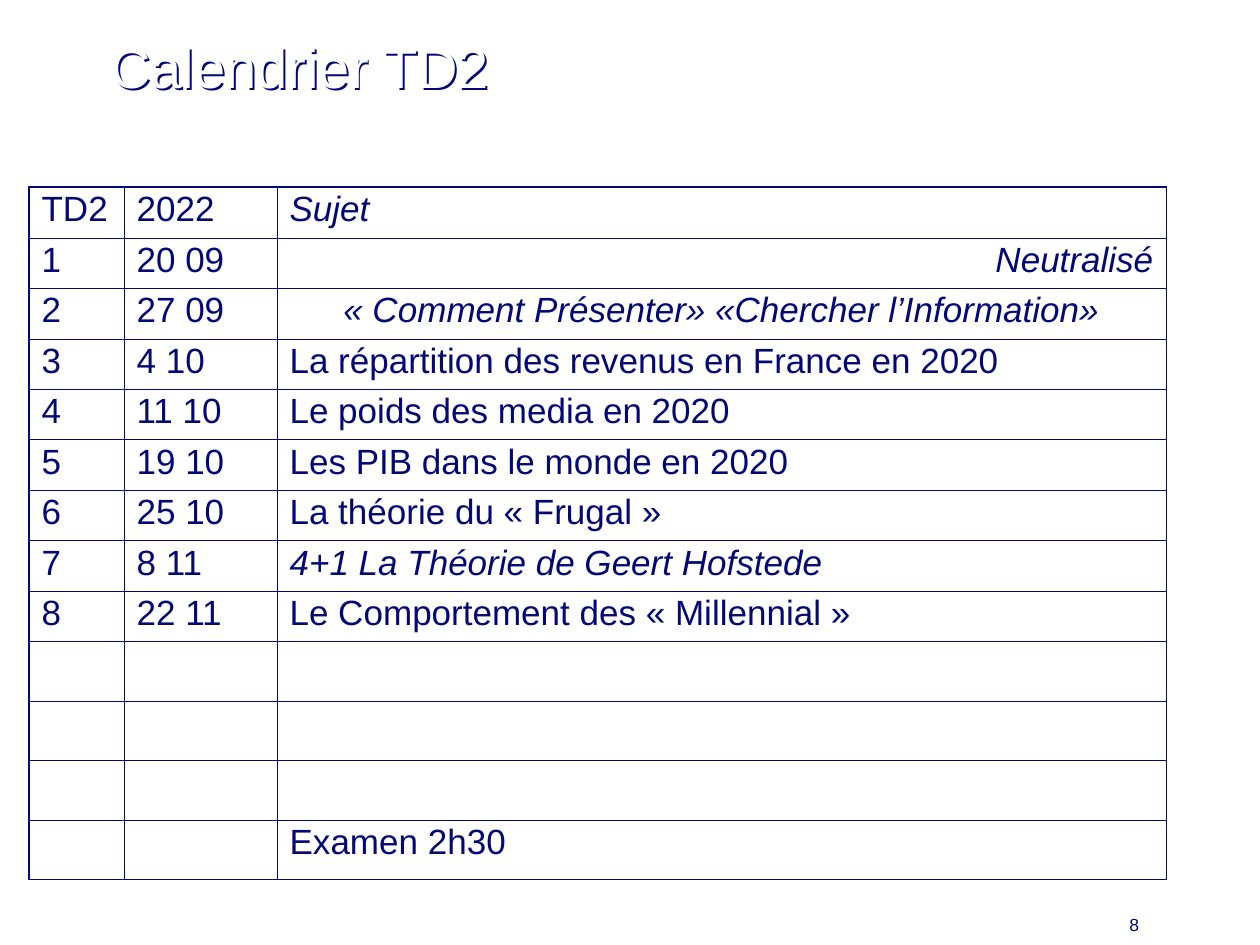
from lxml import etree
from pptx import Presentation
from pptx import util as u
from pptx.dml.color import RGBColor
from pptx.enum import shapes, text
from pptx.oxml.ns import qn

PX = u.Inches(1) // 126
NAVY, WHITE, BLUE = "030875", "FFFFFF", "588BCE"
THIN, THICK = 0.45, 1.08
LEFT, CENTER, RIGHT = text.PP_ALIGN.LEFT, text.PP_ALIGN.CENTER, text.PP_ALIGN.RIGHT

COLUMN_WIDTHS = [95, 153, 889]
ROW_HEIGHTS = [51] + [50] * 8 + [60, 59] * 2
SESSIONS = [
    ("TD2", "2022", "Sujet"),
    ("1", "20 09", "Neutralisé"),
    ("2", "27 09", "« Comment Présenter» «Chercher l’Information»"),
    ("3", "4 10", "La répartition des revenus en France en 2020"),
    ("4", "11 10", "Le poids des media en 2020"),
    ("5", "19 10", "Les PIB dans le monde en 2020"),
    ("6", "25 10", "La théorie du « Frugal »"),
    ("7", "8 11", "4+1 La Théorie de Geert Hofstede"),
    ("8", "22 11", "Le Comportement des « Millennial »"),
    ("", "", ""),
    ("", "", ""),
    ("", "", ""),
    ("", "", "Examen 2h30"),
]
ITALIC_ROWS = {0, 1, 2, 7}
SUBJECT_ALIGN = {1: RIGHT, 2: CENTER}


def rgb(color):
    return RGBColor.from_string(color)


class Slide:
    """Holds the style and the current page, and draws each kind of element."""

    def __init__(self, deck, font="Arial", ink=NAVY):
        self.font, self.ink = font, ink
        self.page = deck.slides.add_slide(deck.slide_layouts[6])

    def background(self, color):
        fill = self.page.background.fill
        fill.solid()
        fill.fore_color.rgb = rgb(color)

    def panel(self, x, y, w, h, color):
        shape = self.page.shapes.add_shape(
            shapes.MSO_SHAPE.RECTANGLE, x * PX, y * PX, w * PX, h * PX)
        shape.shadow.inherit = False
        shape.fill.solid()
        shape.fill.fore_color.rgb = rgb(color)
        shape.line.fill.background()

    def style(self, para, size, color=None, italic=False, align=LEFT, before=0, spacing=0.9):
        para.alignment = align
        para.line_spacing = spacing
        para.space_before = u.Pt(before)
        for target in [para, *para.runs]:
            target.font.size = u.Pt(size)
            target.font.italic = italic
            target.font.color.rgb = rgb(color or self.ink)
            target.font.name = self.font

    def label(self, x, y, w, h, words, size, anchor=text.MSO_ANCHOR.TOP, **look):
        box = self.page.shapes.add_textbox(x * PX, y * PX, w * PX, h * PX)
        frame = box.text_frame
        frame.word_wrap = True
        frame.vertical_anchor = anchor
        frame.text = words
        self.style(frame.paragraphs[0], size, **look)
        return box

    def text_shadow(self, box):
        effects = etree.SubElement(box._element.spPr, qn("a:effectLst"))
        shadow = etree.SubElement(
            effects, qn("a:outerShdw"), dist="17961", dir="2700000")
        etree.SubElement(shadow, qn("a:srgbClr"), val=self.ink)

    def borders(self, cell, **widths):
        for side, width in widths.items():
            line = etree.SubElement(
                cell._tc.get_or_add_tcPr(), qn(f"a:ln{side}"), w=str(u.Pt(width)))
            fill = etree.SubElement(line, qn("a:solidFill"))
            etree.SubElement(fill, qn("a:srgbClr"), val=self.ink)

    def table(self, x, y, widths, heights, content, size):
        frame = self.page.shapes.add_table(
            len(heights), len(widths), x * PX, y * PX,
            sum(widths) * PX, sum(heights) * PX)
        grid = frame.table
        grid.first_row = grid.horz_banding = False
        for column, width in zip(grid.columns, widths):
            column.width = width * PX
        for row, height in zip(grid.rows, heights):
            row.height = height * PX
        last = len(content) - 1
        for r, entries in enumerate(content):
            for c, words in enumerate(entries):
                cell = grid.cell(r, c)
                cell.text = words
                subject = c == 2
                self.style(cell.text_frame.paragraphs[0], size, before=11.2,
                           italic=subject and r in ITALIC_ROWS,
                           align=SUBJECT_ALIGN.get(r, LEFT) if subject else LEFT)
                self.borders(cell, L=THIN if c else THICK, R=THIN,
                             T=THIN if r else THICK, B=THICK if r == last else THIN)
                cell.fill.background()


def main():
    deck = Presentation()
    deck.slide_width, deck.slide_height = 1260 * PX, 945 * PX
    slide = Slide(deck)
    slide.background(BLUE)
    slide.panel(0, 0, 1260, 945, WHITE)
    slide.label(1117, 908, 87, 34, "8", 10, before=6.2, spacing=1.0)
    title = slide.label(98, 28, 1068, 79, "Calendrier TD2", 32,
                        anchor=text.MSO_ANCHOR.BOTTOM, color=WHITE)
    slide.text_shadow(title)
    slide.table(29, 187, COLUMN_WIDTHS, ROW_HEIGHTS, SESSIONS, 20)
    deck.save("out.pptx")


if __name__ == "__main__":
    main()
